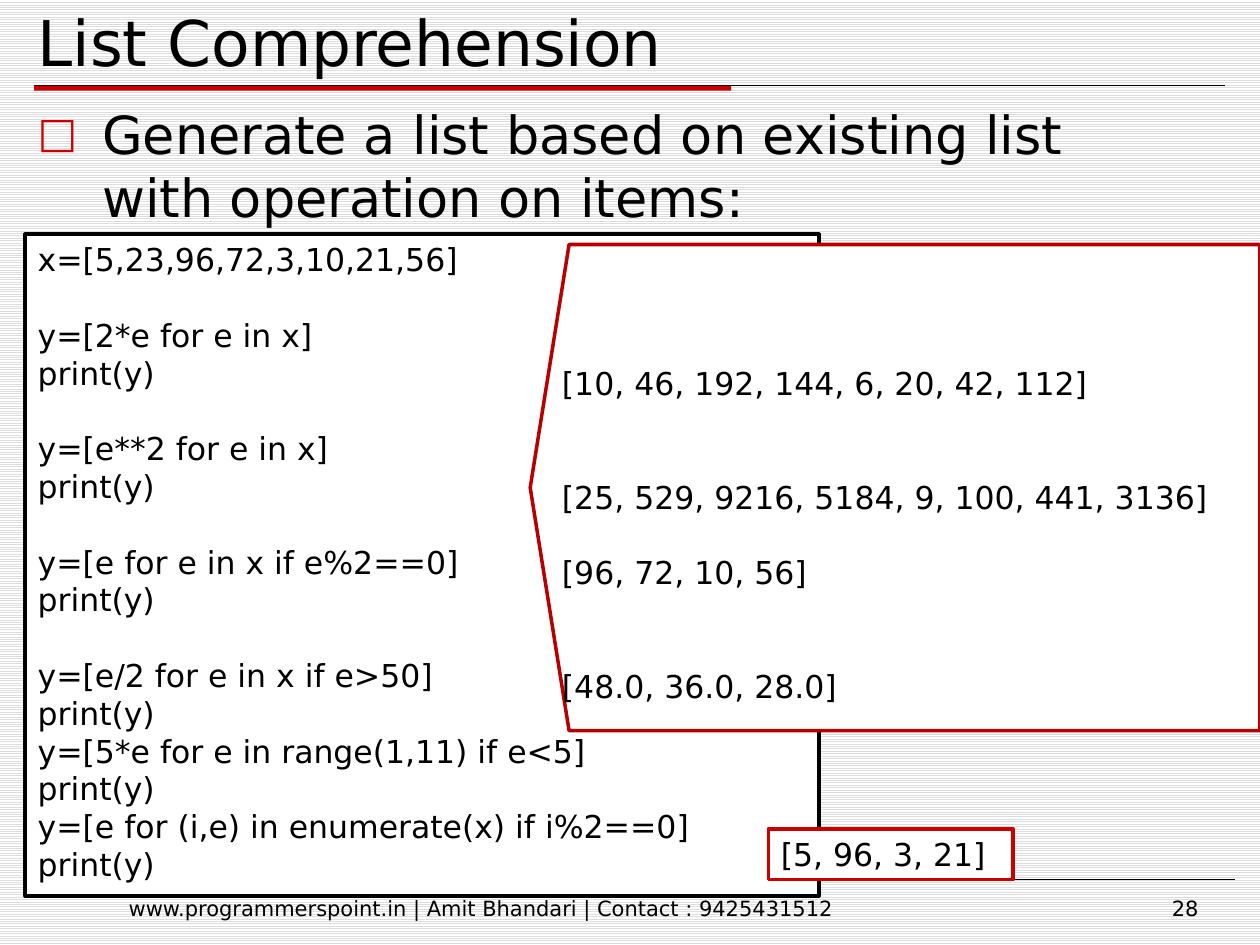
from lxml import etree
from pptx import Presentation
from pptx.dml.color import RGBColor
from pptx.enum.dml import MSO_PATTERN
from pptx.enum.shapes import MSO_CONNECTOR, MSO_SHAPE
from pptx.enum.text import MSO_ANCHOR, PP_ALIGN
from pptx.oxml.ns import qn
from pptx.util import Cm, Pt

STRIPES = MSO_PATTERN.LIGHT_HORIZONTAL
STRAIGHT = MSO_CONNECTOR.STRAIGHT
RECTANGLE, PENTAGON = MSO_SHAPE.RECTANGLE, MSO_SHAPE.PENTAGON
TOP, BOTTOM = MSO_ANCHOR.TOP, MSO_ANCHOR.BOTTOM
LEFT, CENTER, RIGHT = PP_ALIGN.LEFT, PP_ALIGN.CENTER, PP_ALIGN.RIGHT

BLACK = RGBColor(0x00, 0x00, 0x00)
WHITE = RGBColor(0xFF, 0xFF, 0xFF)
STRIPE = RGBColor(0xDD, 0xDD, 0xDD)
RED = RGBColor(0xCC, 0x00, 0x00)
DARK_RED = RGBColor(0xB9, 0x00, 0x00)
FONT = "DejaVu Sans"
LINE_HEIGHT = 1.2


def write(box, lines, size, align=LEFT, anchor=TOP):
    """Fill a box with (empty lines before, text) pairs."""
    frame = box.text_frame
    frame.word_wrap = True
    frame.vertical_anchor = anchor
    pitch = size * LINE_HEIGHT
    for index, (gap, text) in enumerate(lines):
        para = frame.paragraphs[0] if index == 0 else frame.add_paragraph()
        layout = {"alignment": align, "line_spacing": Pt(pitch),
                  "space_before": Pt(gap * pitch)}
        for name, value in layout.items():
            setattr(para, name, value)
        span = para.add_run()
        span.text = text
        for name, value in {"name": FONT, "size": Pt(size)}.items():
            setattr(span.font, name, value)
        span.font.color.rgb = BLACK


def add_panel(kind, place, line_color):
    """Add a white shape with an outline."""
    panel = page.shapes.add_shape(kind, *map(Cm, place))
    panel.shadow.inherit = False
    panel.fill.solid()
    panel.fill.fore_color.rgb = WHITE
    panel.line.color.rgb = line_color
    panel.line.width = Pt(2)
    return panel


deck = Presentation()
deck.slide_width, deck.slide_height = Cm(25.4), Cm(19.05)
page = deck.slides.add_slide(deck.slide_layouts[6])

# Striped background
background = page.background.fill
background.patterned()
background.pattern = STRIPES
background.fore_color.rgb = STRIPE
background.back_color.rgb = WHITE

# Rules under the title and above the footer
for left, right, top, width in [(0.69, 24.69, 1.73, 0.75),
                                (0.89, 24.89, 17.73, 0.25)]:
    rule = page.shapes.add_connector(STRAIGHT, Cm(left), Cm(top), Cm(right), Cm(top))
    rule.line.color.rgb = BLACK
    rule.line.width = Pt(width)
    etree.SubElement(rule.element.spPr, qn("a:effectLst"))

bar = page.shapes.add_shape(RECTANGLE, Cm(0.69), Cm(1.73), Cm(14.05), Cm(0.1))
bar.shadow.inherit = False
bar.fill.solid()
bar.fill.fore_color.rgb = RED
bar.line.fill.background()

# Title, statement and footer
texts = [
    ("List Comprehension", (0.51, -0.08, 13.23, 1.8), 36, LEFT, BOTTOM),
    ("Generate a list based on existing list with operation on items:",
     (0.51, 1.93, 23.6, 3.61), 30, LEFT, TOP),
    ("www.programmerspoint.in | Amit Bhandari | Contact : 9425431512",
     (1.7, 17.93, 16, 0.71), 12, CENTER, TOP),
    ("28", (18.9, 17.93, 5.51, 0.71), 12, RIGHT, TOP),
]
boxes = []
for text, place, size, align, anchor in texts:
    box = page.shapes.add_textbox(*map(Cm, place))
    write(box, [(0, text)], size, align, anchor)
    boxes.append(box)

# Square bullet on the statement
statement = boxes[1].text_frame.paragraphs[0]
bullet = statement._p.get_or_add_pPr()
bullet.set("marL", str(Cm(1.3)))
bullet.set("indent", str(-Cm(1.3)))
color = etree.SubElement(bullet, qn("a:buClr"))
etree.SubElement(color, qn("a:srgbClr")).set("val", str(RED))
etree.SubElement(bullet, qn("a:buSzPct")).set("val", "80000")
etree.SubElement(bullet, qn("a:buFont")).set("typeface", FONT)
etree.SubElement(bullet, qn("a:buChar")).set("char", "□")

# Code, each statement followed by its print
statements = [
    (1, "y=[2*e for e in x]"),
    (1, "y=[e**2 for e in x]"),
    (1, "y=[e for e in x if e%2==0]"),
    (1, "y=[e/2 for e in x if e>50]"),
    (0, "y=[5*e for e in range(1,11) if e<5]"),
    (0, "y=[e for (i,e) in enumerate(x) if i%2==0]"),
]
code_lines = [(0, "x=[5,23,96,72,3,10,21,56]")]
for line in statements:
    code_lines += [line, (0, "print(y)")]
code = add_panel(RECTANGLE, (0.51, 4.72, 16, 13.34), BLACK)
write(code, code_lines, 18)

# Outputs beside the code, starting three lines down
outputs = add_panel(PENTAGON, (10.69, 4.93, 14.71, 9.8), DARK_RED)
outputs.adjustments[0] = 0.08
outputs.element.spPr.xfrm.set("flipH", "1")
outputs.text_frame.margin_top = Cm(0.13) + Pt(3 * 18 * LINE_HEIGHT)
write(outputs, [
    (0, "[10, 46, 192, 144, 6, 20, 42, 112]"),
    (2, "[25, 529, 9216, 5184, 9, 100, 441, 3136]"),
    (1, "[96, 72, 10, 56]"),
    (2, "[48.0, 36.0, 28.0]"),
], 18)

# Output of the last statement
last_output = add_panel(RECTANGLE, (15.49, 16.71, 4.93, 1.02), RED)
write(last_output, [(0, "[5, 96, 3, 21]")], 18)

deck.save("out.pptx")
